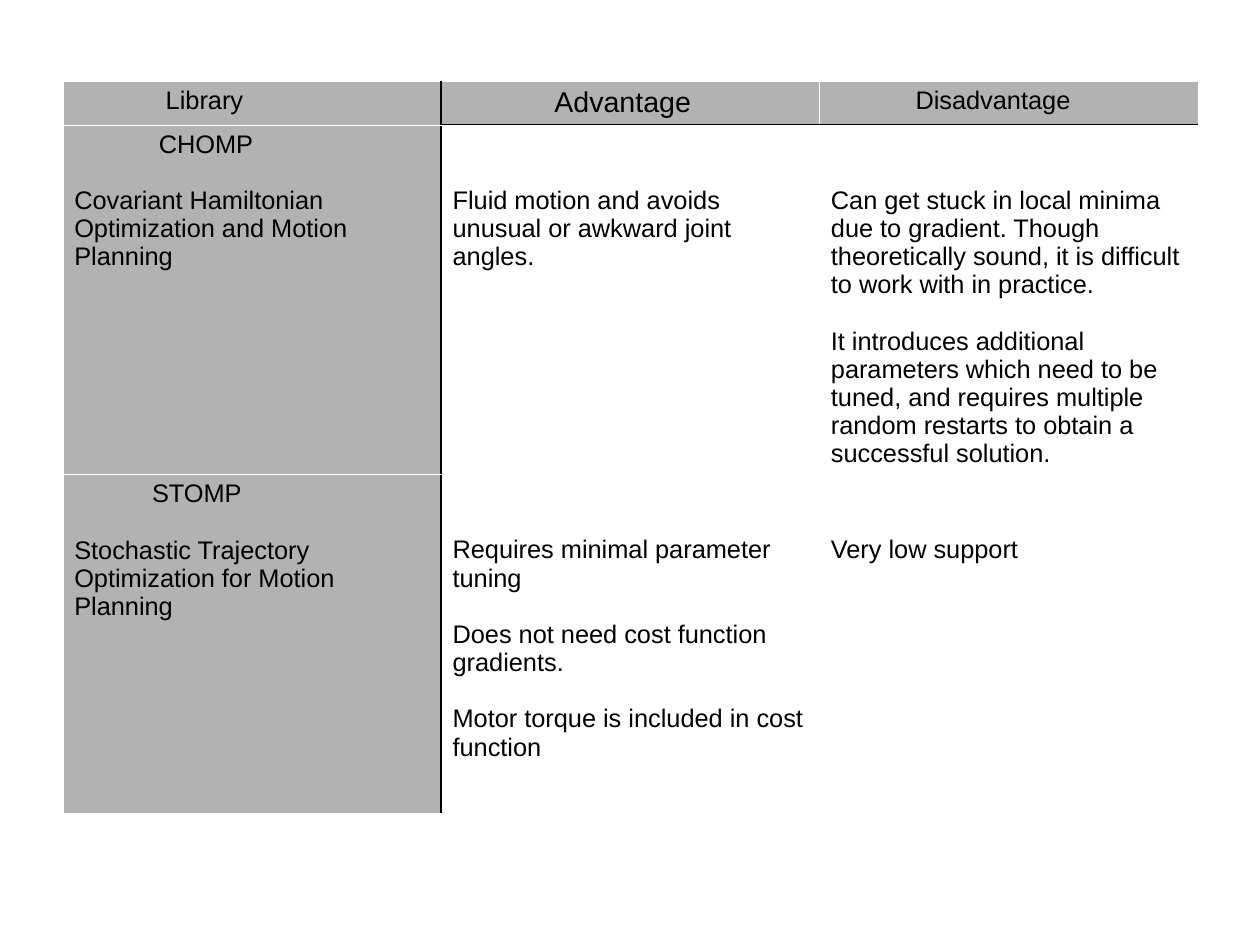
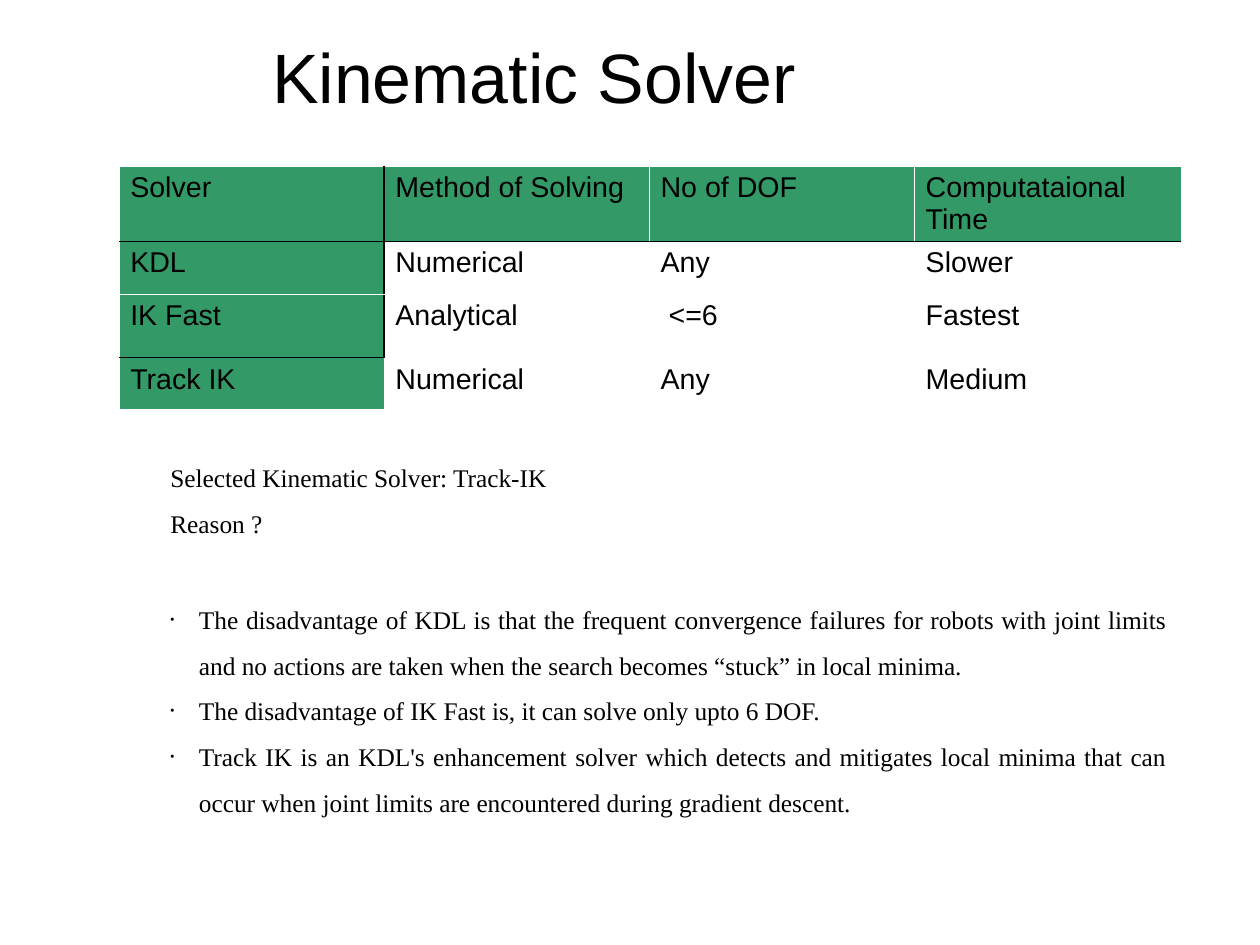
from pptx import Presentation, util as u
from pptx.dml.color import RGBColor
from pptx.enum import text as t
from pptx.oxml import parse_xml
from pptx.oxml.ns import nsdecls

# Theme: colours, fonts and type sizes
theme = {
    "ink": "000000", "paper": "FFFFFF", "gray": "B2B2B2", "green": "339966",
    "sans": "Arial", "serif": "Times New Roman",
    "title": 44, "large": 18, "text": 16,
    "hair": 0.06, "thin": 0.5, "bold": 1.25,
}

# Page of 28 by 21 cm
deck = Presentation()
deck.slide_width, deck.slide_height = u.Inches(28 / 2.54), u.Inches(21 / 2.54)


def style(para, size, face="sans", left=0, first=0, **form):
    for name, val in form.items():
        setattr(para, name, val)
    font = para.font
    for name, val in {"size": u.Pt(theme[size]), "name": theme[face]}.items():
        setattr(font, name, val)
    font.color.rgb = RGBColor.from_string(theme["ink"])
    props = para._p.get_or_add_pPr()
    props.set("marL", str(u.Inches(left)))
    props.set("indent", str(u.Inches(first)))
    return props


def grid(slide, at, cols, rows, cells, tint, size, stem, rules,
         shift={}, sizes={}, drop={}):
    """stem: rows with a dark first column edge; rules: cells with a dark top."""
    frame = slide.shapes.add_table(len(rows), len(cols), *map(u.Inches, at),
                                   u.Inches(sum(cols)), u.Inches(sum(rows)))
    table = frame.table
    table.first_row = table.horz_banding = False
    for part, spans, dim in ((table.columns, cols, "width"),
                             (table.rows, rows, "height")):
        for item, span in zip(part, spans):
            setattr(item, dim, u.Inches(span))
    for r, line in enumerate(cells):
        for c, words in enumerate(line):
            cell = table.cell(r, c)
            cell.margin_top = u.Inches(drop.get((r, c), 0.05))
            cell.fill.solid()
            shade = tint if r == 0 or c == 0 else "paper"
            cell.fill.fore_color.rgb = RGBColor.from_string(theme[shade])
            cell.text = words
            for n, para in enumerate(cell.text_frame.paragraphs):
                style(para, sizes.get((r, c), size),
                      left=0 if n else shift.get((r, c), 0),
                      space_before=u.Pt(17.7 if n else 0))
            # Borders
            edges = {"L": (c == 1 and r < stem, "bold"),
                     "R": (c == 0 and r < stem, "bold"),
                     "T": ((r, c) in rules, "thin"),
                     "B": ((r + 1, c) in rules, "thin")}
            for n, (side, (dark, width)) in enumerate(edges.items()):
                ink, wide = ("ink", width) if dark else ("paper", "hair")
                cell._tc.get_or_add_tcPr().insert(n, parse_xml(
                    f'<a:ln{side} {nsdecls("a")} w="{u.Pt(theme[wide])}">'
                    f'<a:solidFill><a:srgbClr val="{theme[ink]}"/></a:solidFill>'
                    f'</a:ln{side}>'))


# Slide 1: planning libraries
page = deck.slides.add_slide(deck.slide_layouts[6])
plans = [
    ["Library", "Advantage", "Disadvantage"],
    ["CHOMP\nCovariant Hamiltonian Optimization and Motion Planning",
     "Fluid motion and avoids unusual or awkward joint angles.",
     "Can get stuck in local minima due to gradient. Though theoretically "
     "sound, it is difficult to work with in practice.\n"
     "It introduces additional parameters which need to be tuned, and requires "
     "multiple random restarts to obtain a successful solution."],
    ["STOMP\nStochastic Trajectory Optimization for Motion Planning",
     "Requires minimal parameter tuning\n"
     "Does not need cost function gradients.\n"
     "Motor torque is included in cost function",
     "Very low support"],
]
grid(page, (0.55, 0.71), [3.31] * 3, [0.38, 3.06, 2.96], plans, "gray", "text",
     stem=3, rules={(1, 1), (1, 2)}, sizes={(0, 1): "large"},
     shift={(0, 0): 0.8, (0, 1): 0.89, (0, 2): 0.74, (1, 0): 0.74, (2, 0): 0.68},
     drop={(r, c): 0.54 for r in (1, 2) for c in (1, 2)})

# Slide 2: kinematic solvers
page = deck.slides.add_slide(deck.slide_layouts[1])
head, body = page.placeholders
for box, area in ((head, (1.1, 0.24, 8.82, 1.07)), (body, (0.64, 3.86, 9.67, 3.7))):
    for name, val in zip(("left", "top", "width", "height"), area):
        setattr(box, name, u.Inches(val))
    form = {"word_wrap": True, "auto_size": t.MSO_AUTO_SIZE.NONE,
            "vertical_anchor": t.MSO_ANCHOR.TOP}
    for name, val in form.items():
        setattr(box.text_frame, name, val)

head.text_frame.text = "Kinematic Solver"
style(head.text_frame.paragraphs[0], "title", left=1.18,
      alignment=t.PP_ALIGN.LEFT)

solvers = [
    ["Solver", "Method of Solving", "No of DOF", "Computataional Time"],
    ["KDL", "Numerical", "Any", "Slower"],
    ["IK Fast", "Analytical", "<=6", "Fastest"],
    ["Track IK", "Numerical", "Any", "Medium"],
]
grid(page, (1.04, 1.45), [2.32] * 3 + [2.33], [0.65, 0.46, 0.56, 0.45], solvers,
     "green", "large", stem=3, rules={(1, c) for c in range(4)} | {(3, 0)},
     shift={(2, 2): 0.07})

# Choice and reasons
notes = [
    "Selected Kinematic Solver: Track-IK",
    "Reason ?",
    "The disadvantage of KDL is that the frequent convergence failures for robots "
    "with joint limits and no actions are taken when the search becomes “stuck” "
    "in local minima.",
    "The disadvantage of IK Fast is, it can solve only upto 6 DOF.",
    "Track IK is an KDL's enhancement solver which detects and mitigates local "
    "minima that can occur when joint limits are encountered during gradient "
    "descent.",
]
body.text_frame.text = "\n".join(notes)
for n, para in enumerate(body.text_frame.paragraphs):
    props = style(para, "text", "serif", 1, -0.25, line_spacing=1.5,
                  space_before=u.Pt(32 if n == 2 else 0),
                  alignment=t.PP_ALIGN.JUSTIFY)
    marks = ['<a:buNone {}/>'] if n < 2 else [
        '<a:buClr {}><a:srgbClr val="' + theme["ink"] + '"/></a:buClr>',
        '<a:buSzPct {} val="45000"/>',
        '<a:buFont {} typeface="' + theme["sans"] + '"/>',
        '<a:buChar {} char="•"/>']
    spot = props.find("{*}defRPr")
    for mark in marks:
        item = parse_xml(mark.format(nsdecls("a")))
        if spot is None:
            props.append(item)
        else:
            spot.addprevious(item)

deck.save("out.pptx")
